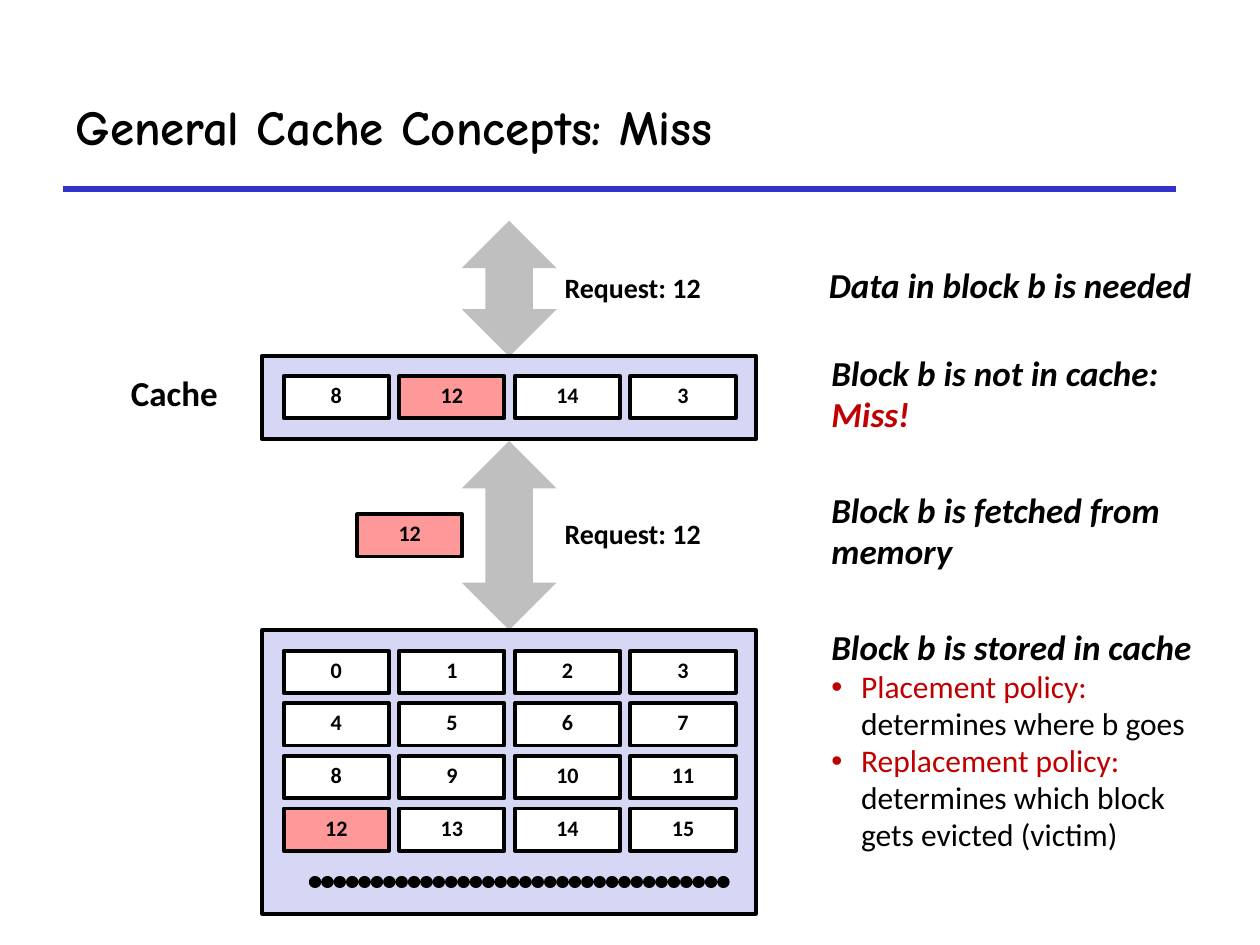
"""Build the slide that explains a cache miss."""
import pptx
import pptx.dml.color
import pptx.enum.shapes
import pptx.enum.text
import pptx.oxml.ns
import pptx.util
from lxml import etree

Cm = pptx.util.Cm
Pt = pptx.util.Pt
RGB = pptx.dml.color.RGBColor
KIND = pptx.enum.shapes.MSO_SHAPE
ALIGN = pptx.enum.text.PP_ALIGN
ANCHOR = pptx.enum.text.MSO_ANCHOR
qn = pptx.oxml.ns.qn

BLACK = RGB(0, 0, 0)
WHITE = RGB(0xFF, 0xFF, 0xFF)
BLUE = RGB(0x33, 0x33, 0xCC)
LILAC = RGB(0xD6, 0xD6, 0xF5)
GRAY = RGB(0xBF, 0xBF, 0xBF)
PINK = RGB(0xFF, 0x99, 0x99)
RED = RGB(0xC0, 0, 0)

deck = pptx.Presentation()
deck.slide_width, deck.slide_height = Cm(25.4), Cm(19.05)
slide = deck.slides.add_slide(deck.slide_layouts[5])
shapes = slide.shapes


def add_box(left, top, width, height, fill, text="", kind=KIND.RECTANGLE):
    box = shapes.add_shape(kind, Cm(left), Cm(top), Cm(width), Cm(height))
    box.shadow.inherit = False
    box.fill.solid()
    box.fill.fore_color.rgb = fill
    box.line.color.rgb = BLACK
    box.line.width = Pt(2.25)
    if text:
        box.text_frame.text = text
        box.text_frame.vertical_anchor = ANCHOR.MIDDLE
        para = box.text_frame.paragraphs[0]
        para.alignment = ALIGN.CENTER
        para.line_spacing = 0.8
        font = para.runs[0].font
        font.name, font.size, font.bold = "Calibri", Pt(12.6), True
        font.color.rgb = BLACK
    return box


def add_label(left, top, width, height, text, size=20, slant=False):
    label = shapes.add_textbox(Cm(left), Cm(top), Cm(width), Cm(height))
    frame = label.text_frame
    frame.text = text
    frame.word_wrap = False
    frame.auto_size = pptx.enum.text.MSO_AUTO_SIZE.SHAPE_TO_FIT_TEXT
    if slant:
        frame.vertical_anchor = ANCHOR.MIDDLE
    for para in frame.paragraphs:
        if slant:
            para.line_spacing = 0.98
        for run in para.runs:
            font = run.font
            font.name, font.size = "Calibri", Pt(size)
            font.bold, font.italic = True, slant
            font.color.rgb = BLACK
    return frame


title = shapes.title
title.left, title.top, title.width, title.height = Cm(1.27), Cm(1.27), Cm(22.43), Cm(2.54)
title.text_frame.text = "General Cache Concepts: Miss"
title.text_frame.vertical_anchor = ANCHOR.MIDDLE
title.text_frame.paragraphs[0].alignment = ALIGN.LEFT
font = title.text_frame.paragraphs[0].runs[0].font
font.name, font.size, font.bold = "Comic Neue", Pt(28), True
font.color.rgb = BLACK

for top, height in ((4.45, 2.74), (8.89, 3.81)):
    arrow = add_box(9.31, top, 1.91, height, GRAY, kind=KIND.UP_DOWN_ARROW)
    arrow.line.fill.background()
    arrow.adjustments[0] = arrow.adjustments[1] = 0.5

add_box(5.29, 12.7, 9.95, 5.72, LILAC)
add_box(5.29, 7.17, 9.95, 1.69, LILAC)

rows = [(7.58, (8, 12, 14, 3), 12)]
for row in range(4):
    rows.append((13.12 + 1.06 * row, range(4 * row, 4 * row + 4), 12))
for top, blocks, wanted in rows:
    for col, block in enumerate(blocks):
        fill = PINK if block == wanted else WHITE
        add_box(5.72 + 2.33 * col, top, 2.12, 0.85, fill, str(block))
add_box(7.2, 10.37, 2.12, 0.85, PINK, "12")

lines = []
for left, right, top, color, width in ((1.27, 23.7, 3.81, BLUE, 3), (6.35, 14.82, 17.78, BLACK, 7)):
    line = shapes.add_connector(pptx.enum.shapes.MSO_CONNECTOR.STRAIGHT, Cm(left), Cm(top), Cm(right), Cm(top))
    line.line.color.rgb = color
    line.line.width = Pt(width)
    etree.SubElement(line._element.spPr, qn("a:effectLst"))
    lines.append(line)
stroke = lines[1].line._get_or_add_ln()
stroke.set("cap", "rnd")
dash = etree.SubElement(stroke, qn("a:custDash"))
etree.SubElement(dash, qn("a:ds"), d="1000", sp="100000")

add_label(2.39, 7.37, 2.26, 1.12, "Cache")
for top in (5.33, 10.29):
    frame = add_label(11.13, top, 3.25, 0.94, "Request: 12", 16)
    frame.paragraphs[0].alignment = ALIGN.CENTER

add_label(16.46, 5.23, 7.82, 1.09, "Data in block b is needed", slant=True)
miss = add_label(16.51, 6.99, 7.11, 1.93, "Block b is not in cache:\nMiss!", slant=True)
miss.paragraphs[1].runs[0].font.color.rgb = RED
add_label(16.51, 9.75, 7.16, 1.93, "Block b is fetched from\nmemory", slant=True)
stored = add_label(
    16.51, 12.52, 7.8, 4.83,
    "Block b is stored in cache\n"
    "Placement policy:\vdetermines where b goes\n"
    "Replacement policy:\vdetermines which block\vgets evicted (victim)",
    slant=True)
for para in stored.paragraphs[1:]:
    props = para._p.get_or_add_pPr()
    props.set("marL", str(Cm(0.6)))
    props.set("indent", str(-Cm(0.6)))
    tint = etree.SubElement(props, qn("a:buClr"))
    etree.SubElement(tint, qn("a:srgbClr"), val=str(RED))
    etree.SubElement(props, qn("a:buFont"), typeface="Arial")
    etree.SubElement(props, qn("a:buChar"), char="•")
    for run in para.runs:
        run.font.size, run.font.bold, run.font.italic = Pt(18), False, False
    para.runs[0].font.color.rgb = RED

deck.save("out.pptx")
